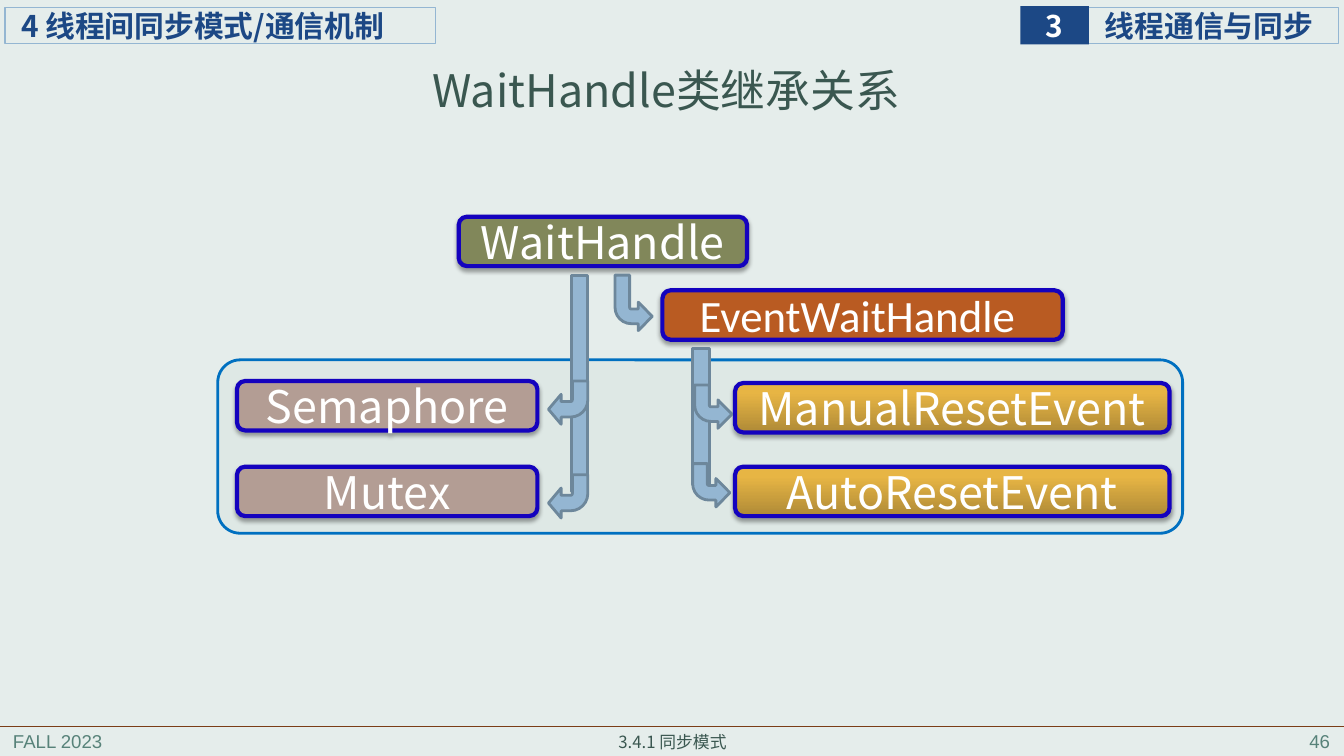
from lxml.etree import SubElement
from pptx import Presentation
from pptx.dml.color import RGBColor
from pptx.enum.shapes import MSO_CONNECTOR, MSO_SHAPE
from pptx.enum.text import MSO_ANCHOR, PP_ALIGN
from pptx.oxml.ns import qn
from pptx.util import Inches, Pt

BACKGROUND = RGBColor(0xE5, 0xED, 0xEB)
NAVY = RGBColor(0x1C, 0x48, 0x85)
WHITE = RGBColor(0xFF, 0xFF, 0xFF)
BLACK = RGBColor(0x00, 0x00, 0x00)
SKY = RGBColor(0x94, 0xB6, 0xD2)
STEEL = RGBColor(0x6D, 0x87, 0x9B)
DARK_GREEN = RGBColor(0x3A, 0x57, 0x50)
FOOTER_GREEN = RGBColor(0x57, 0x82, 0x79)
FOOTER_LINE = RGBColor(0x7B, 0x3D, 0x17)
GROUP_FILL = RGBColor(0xB0, 0xCA, 0xC4)
GROUP_LINE = RGBColor(0x00, 0x70, 0xC0)
CLASS_LINE = RGBColor(0x14, 0x02, 0xBE)
OLIVE = RGBColor(0x81, 0x87, 0x5A)
RUST = RGBColor(0xB9, 0x5B, 0x22)
TAUPE = RGBColor(0xB3, 0x9D, 0x94)
GOLD_DARK = RGBColor(0xAF, 0x8A, 0x37)
GOLD_LIGHT = RGBColor(0xE7, 0xB5, 0x44)
GOLD = (GOLD_DARK, GOLD_LIGHT)

SANS = "Noto Sans CJK SC"
CLASS_HEIGHT = 0.49
LEFT_CLASSES = {"left": 2.35, "width": 2.98, "fill": TAUPE}
RIGHT_CLASSES = {"left": 7.29, "width": 4.31, "fill": GOLD}
UPPER_ROW, LOWER_ROW = 3.8, 4.63


def write(shape, text, size, color, align=PP_ALIGN.CENTER, font=SANS, bold=False,
          anchor=MSO_ANCHOR.MIDDLE, insets=(0.1, 0.05, 0.1, 0.05), wrap=True):
    frame = shape.text_frame
    sides = ("margin_left", "margin_top", "margin_right", "margin_bottom")
    frame_format = dict(zip(sides, map(Inches, insets)))
    frame_format.update(word_wrap=wrap, vertical_anchor=anchor)
    for name, value in frame_format.items():
        setattr(frame, name, value)
    paragraph = frame.paragraphs[0]
    paragraph.alignment = align
    span = paragraph.add_run()
    span.text = text
    for name, value in {"size": Pt(size), "name": font, "bold": bold}.items():
        setattr(span.font, name, value)
    span.font.color.rgb = color
    SubElement(span.font._element, qn("a:ea"), typeface=font)
    return paragraph


def paint(shape, fill):
    if fill is None:
        shape.fill.background()
    elif isinstance(fill, RGBColor):
        shape.fill.solid()
        shape.fill.fore_color.rgb = fill
    else:
        shape.fill.gradient()
        shape.fill.gradient_angle = 90
        for stop, color, position in zip(shape.fill.gradient_stops, fill, (0, 0.8)):
            stop.color.rgb = color
            stop.position = position


def add_block(page, kind, place, fill=None, line=None, weight=1):
    shape = page.shapes.add_shape(kind, *map(Inches, place))
    shape.shadow.inherit = False
    paint(shape, fill)
    if line is None:
        shape.line.fill.background()
    else:
        shape.line.color.rgb = line
        shape.line.width = Pt(weight)
    return shape


def add_class(page, name, left, top, width, fill, **text_format):
    shape = add_block(page, MSO_SHAPE.ROUNDED_RECTANGLE,
                      (left, top, width, CLASS_HEIGHT), fill, CLASS_LINE, 3)
    effects = shape._element.spPr.find(qn("a:effectLst"))
    shadow = SubElement(effects, qn("a:outerShdw"), blurRad=str(Pt(3.1)),
                        dist=str(Pt(1.8)), dir="5400000", rotWithShape="0")
    color = SubElement(shadow, qn("a:srgbClr"), val=str(BLACK))
    SubElement(color, qn("a:alpha"), val="35000")
    write(shape, name, 32, WHITE, **text_format)


def add_bent_arrow(page, place, to_left=False):
    arrow = add_block(page, MSO_SHAPE.BENT_ARROW, place, SKY, STEEL, 2)
    head_length = 0.321 if to_left else 0.376
    for index, value in enumerate((0.393, 0.381, head_length, 0.438)):
        arrow.adjustments[index] = value
    transform = arrow._element.spPr.get_or_add_xfrm()
    transform.set("flipV", "1")
    if to_left:
        transform.set("flipH", "1")


def add_label(page, text, place, size, color, **text_format):
    box = page.shapes.add_textbox(*map(Inches, place))
    write(box, text, size, color, anchor=MSO_ANCHOR.TOP, **text_format)


def add_header(page):
    heading = {"size": 21.3, "bold": True}
    outlined = {"line": SKY, "weight": 0.75}
    chapter = add_block(page, MSO_SHAPE.RECTANGLE, (10.78, 0.07, 2.5, 0.36), **outlined)
    write(chapter, "线程通信与同步", color=NAVY, align=PP_ALIGN.LEFT,
          insets=(0.18, 0, 0, 0), **heading)
    number = add_block(page, MSO_SHAPE.RECTANGLE, (10.12, 0.06, 0.68, 0.38), NAVY)
    write(number, "3", color=WHITE, insets=(0, 0, 0, 0), wrap=False, **heading)
    section = add_block(page, MSO_SHAPE.RECTANGLE, (0.05, 0.07, 4.27, 0.36), **outlined)
    write(section, "4 线程间同步模式/通信机制", color=NAVY, align=PP_ALIGN.LEFT,
          insets=(0.16, 0, 0, 0), **heading)


def add_footer(page):
    for text, left, align in (("FALL 2023", 0.03, PP_ALIGN.LEFT),
                              ("46", 10.51, PP_ALIGN.RIGHT)):
        add_label(page, text, (left, 7.19, 2.78, 0.31), 13.3, FOOTER_GREEN,
                  align=align, font="Arial")
    rule = page.shapes.add_connector(MSO_CONNECTOR.STRAIGHT, Inches(0), Inches(7.21),
                                     Inches(13.33), Inches(7.21))
    rule.line.color.rgb = FOOTER_LINE
    rule.line.width = Pt(0.5)
    SubElement(rule._element.spPr, qn("a:effectLst"))
    add_label(page, "3.4.1 同步模式", (1.67, 7.21, 10, 0.3), 12, DARK_GREEN)


def add_title(page):
    title = page.shapes.title
    place = {"left": 0.92, "top": 0.53, "width": 11.5, "height": 0.78}
    for name, value in place.items():
        setattr(title, name, Inches(value))
    paragraph = write(title, "WaitHandle类继承关系", 32, DARK_GREEN,
                      insets=(0.08, 0.04, 0.2, 0.04))
    paragraph.line_spacing = 0.9


def add_group_frame(page):
    frame = add_block(page, MSO_SHAPE.ROUNDED_RECTANGLE, (2.16, 3.57, 9.57, 1.72),
                      GROUP_FILL, GROUP_LINE, 2)
    frame.adjustments[0] = 0.13
    color = frame._element.spPr.find(qn("a:solidFill"))[0]
    SubElement(color, qn("a:alpha"), val="13000")


def add_hierarchy(page):
    add_class(page, "WaitHandle", 4.55, 2.15, 2.86, OLIVE)
    add_class(page, "EventWaitHandle", 6.57, 2.88, 3.97, RUST, font="Calibri",
              insets=(0.1, 0.05, 0.2, 0.05))
    for name, top, column in (("ManualResetEvent", UPPER_ROW, RIGHT_CLASSES),
                              ("Semaphore", UPPER_ROW - 0.02, LEFT_CLASSES),
                              ("Mutex", LOWER_ROW, LEFT_CLASSES),
                              ("AutoResetEvent", LOWER_ROW, RIGHT_CLASSES)):
        add_class(page, name, top=top, **column)
    add_block(page, MSO_SHAPE.RECTANGLE, (5.67, 2.73, 0.16, 2.15), SKY, STEEL, 2)
    add_bent_arrow(page, (5.44, 4.71, 0.39, 0.43), to_left=True)
    add_bent_arrow(page, (6.1, 2.73, 0.37, 0.55))
    add_block(page, MSO_SHAPE.RECTANGLE, (6.87, 3.46, 0.17, 1.35), SKY, STEEL, 2)
    add_bent_arrow(page, (6.89, 3.82, 0.37, 0.43))
    add_bent_arrow(page, (6.87, 4.6, 0.37, 0.43))
    add_bent_arrow(page, (5.44, 3.78, 0.39, 0.43), to_left=True)


def main():
    deck = Presentation()
    deck.slide_width, deck.slide_height = Inches(13.33), Inches(7.5)
    page = deck.slides.add_slide(deck.slide_layouts[5])
    page.background.fill.solid()
    page.background.fill.fore_color.rgb = BACKGROUND
    add_header(page)
    add_footer(page)
    add_group_frame(page)
    add_title(page)
    add_hierarchy(page)
    deck.save("out.pptx")


if __name__ == "__main__":
    main()
